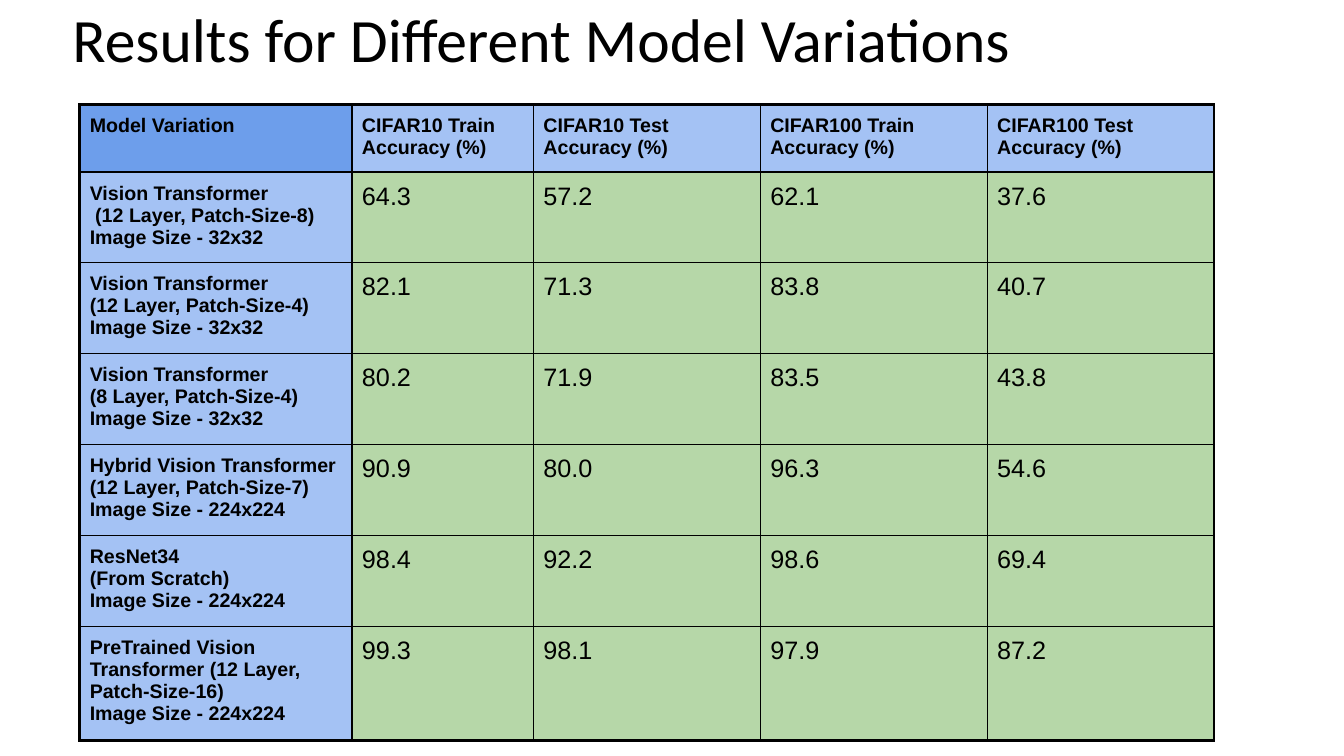
import lxml.etree
import pptx
import pptx.dml.color
import pptx.enum.text
import pptx.oxml.ns
import pptx.util

Inches = pptx.util.Inches
COLORS = {"ink": "000000", "corner": "6D9EEB", "label": "A4C2F4", "score": "B6D7A8"}
COLUMN_WIDTHS = [2.7, 1.8, 2.25, 2.25, 2.25]
ROW_HEIGHTS = [0.64] + [0.86] * 5 + [0.95]
RESULTS = [
    ["Model Variation", "CIFAR10 Train Accuracy (%)", "CIFAR10 Test Accuracy (%)",
     "CIFAR100 Train Accuracy (%)", "CIFAR100 Test Accuracy (%)"],
    ["Vision Transformer\n (12 Layer, Patch-Size-8)\nImage Size - 32x32",
     "64.3", "57.2", "62.1", "37.6"],
    ["Vision Transformer\n(12 Layer, Patch-Size-4)\nImage Size - 32x32",
     "82.1", "71.3", "83.8", "40.7"],
    ["Vision Transformer\n(8 Layer, Patch-Size-4)\nImage Size - 32x32",
     "80.2", "71.9", "83.5", "43.8"],
    ["Hybrid Vision Transformer\n(12 Layer, Patch-Size-7)\nImage Size - 224x224",
     "90.9", "80.0", "96.3", "54.6"],
    ["ResNet34\n(From Scratch)\nImage Size - 224x224",
     "98.4", "92.2", "98.6", "69.4"],
    ["PreTrained Vision Transformer (12 Layer, Patch-Size-16)\nImage Size - 224x224",
     "99.3", "98.1", "97.9", "87.2"],
]


def write_text(frame, text, size, font="Arial", bold=False, color="ink", spacing=None):
    """Write each line of text as a formatted paragraph of the frame."""
    frame.word_wrap = True
    frame.text = text
    for paragraph in frame.paragraphs:
        if spacing:
            paragraph.line_spacing = spacing
        paragraph.font.name = font
        paragraph.font.size = pptx.util.Pt(size)
        paragraph.font.bold = bold
        paragraph.font.color.rgb = pptx.dml.color.RGBColor.from_string(COLORS[color])


def add_border(cell, side, width):
    """Draw one side (L, R, T or B) of a cell's border."""
    properties = cell._tc.get_or_add_tcPr()
    border = lxml.etree.SubElement(
        properties, pptx.oxml.ns.qn(f"a:ln{side}"), w=str(pptx.util.Pt(width)))
    fill = lxml.etree.SubElement(border, pptx.oxml.ns.qn("a:solidFill"))
    lxml.etree.SubElement(fill, pptx.oxml.ns.qn("a:srgbClr"), val=COLORS["ink"])


def add_title(slide, left, top, width, height):
    """Place the slide title in the given box."""
    title = slide.shapes.add_textbox(
        Inches(left), Inches(top), Inches(width), Inches(height)).text_frame
    title.vertical_anchor = pptx.enum.text.MSO_ANCHOR.MIDDLE
    write_text(title, "Results for Different Model Variations", 44,
               font="Calibri", spacing=0.9)


def style_cell(cell, row, column):
    """Set a cell's margins, borders and fill from its place in the grid."""
    cell.margin_left = cell.margin_right = Inches(0.1)
    cell.margin_top = cell.margin_bottom = Inches(0.1)
    heavy_columns = {0, 1, len(COLUMN_WIDTHS)}
    heavy_rows = {0, 1, len(ROW_HEIGHTS)}
    for side, heavy in (("L", column in heavy_columns), ("R", column + 1 in heavy_columns),
                        ("T", row in heavy_rows), ("B", row + 1 in heavy_rows)):
        add_border(cell, side, 2.25 if heavy else 0.75)
    role = "score" if row and column else "label" if row or column else "corner"
    cell.fill.solid()
    cell.fill.fore_color.rgb = pptx.dml.color.RGBColor.from_string(COLORS[role])


def add_results(slide, left, top):
    """Place the accuracy table with its top left corner at the given point."""
    results = slide.shapes.add_table(
        len(ROW_HEIGHTS), len(COLUMN_WIDTHS), Inches(left), Inches(top),
        Inches(sum(COLUMN_WIDTHS)), Inches(sum(ROW_HEIGHTS))).table
    results.horz_banding = False
    for column, width in zip(results.columns, COLUMN_WIDTHS):
        column.width = Inches(width)
    for row, height in zip(results.rows, ROW_HEIGHTS):
        row.height = Inches(height)
    for row, entries in enumerate(RESULTS):
        for column, entry in enumerate(entries):
            cell = results.cell(row, column)
            heading = row == 0 or column == 0
            style_cell(cell, row, column)
            write_text(cell.text_frame, entry, 14 if heading else 18, bold=heading)


def main():
    """Build and save the slide."""
    deck = pptx.Presentation()
    deck.slide_width, deck.slide_height = Inches(13.33), Inches(7.5)
    slide = deck.slides.add_slide(deck.slide_layouts[6])
    add_title(slide, 0.62, -0.11, 11.5, 1.06)
    add_results(slide, 0.79, 1.04)
    deck.save("out.pptx")


if __name__ == "__main__":
    main()
